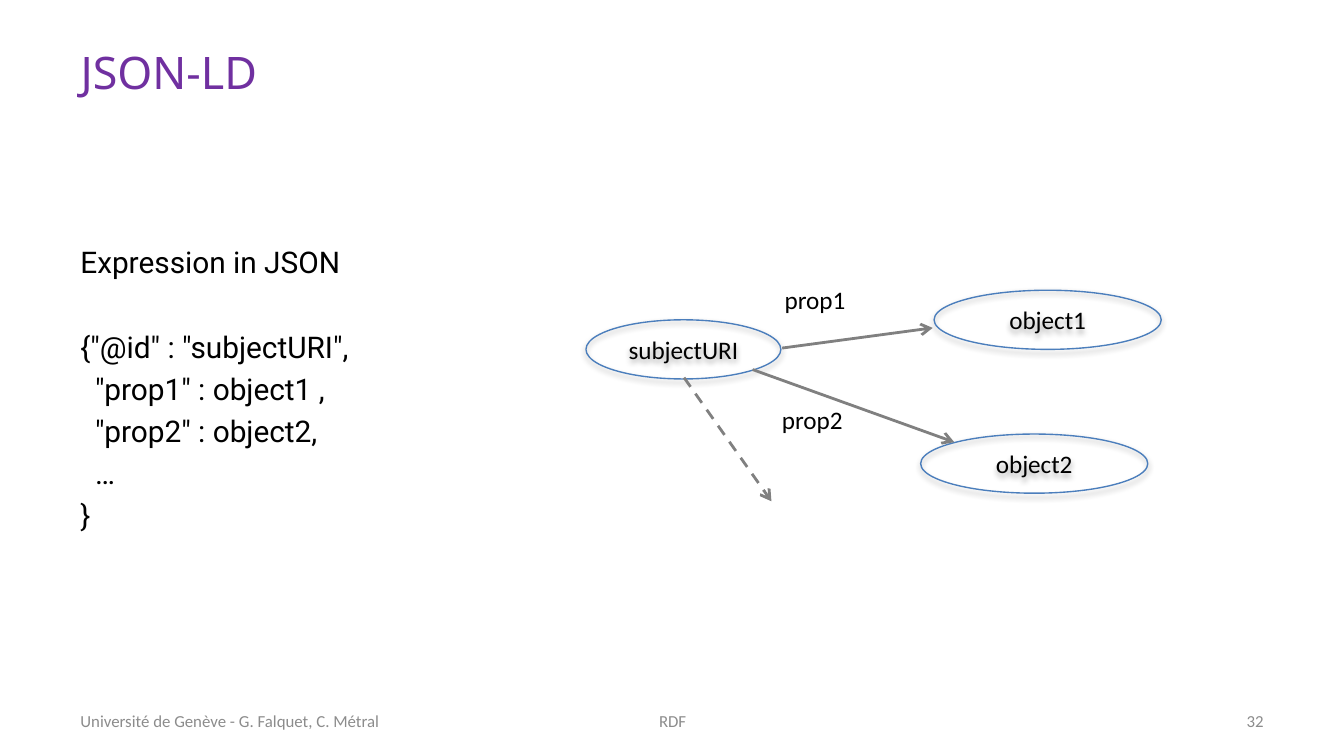
from lxml import etree
from pptx import Presentation, util as u
from pptx.dml.color import RGBColor
from pptx.enum import dml, shapes, text
from pptx.oxml import parse_xml
from pptx.oxml.ns import nsdecls, qn

PURPLE = RGBColor(0x70, 0x30, 0xA0)
BLACK = RGBColor(0, 0, 0)
FOOTER_GRAY = RGBColor(0x8C, 0x8C, 0x8C)
ARROW_GRAY = RGBColor(0x80, 0x80, 0x80)
BLUE = RGBColor(0x4B, 0x7E, 0xBC)
LEFT, CENTER, RIGHT = text.PP_ALIGN.LEFT, text.PP_ALIGN.CENTER, text.PP_ALIGN.RIGHT
MIDDLE, TOP = text.MSO_ANCHOR.MIDDLE, text.MSO_ANCHOR.TOP


def style(para, font, size, color, align=LEFT):
    para.font.name, para.font.size = font, u.Pt(size)
    para.font.color.rgb = color
    para.alignment = align


def add_label(page, box, words, size, color, align=LEFT, anchor=MIDDLE, wrap=True):
    frame = page.shapes.add_textbox(*map(u.Inches, box)).text_frame
    frame.word_wrap = wrap
    frame.vertical_anchor = anchor
    frame.text = words
    style(frame.paragraphs[0], "Calibri", size, color, align)


def add_title(page, box):
    title = page.shapes.title
    title.left, title.top, title.width, title.height = map(u.Inches, box)
    title.text_frame.text = "JSON-LD"
    title.text_frame.vertical_anchor = MIDDLE
    style(title.text_frame.paragraphs[0], "Noto Sans", 24, PURPLE)


def add_code(page, box):
    frame = page.shapes.add_textbox(*map(u.Inches, box)).text_frame
    frame.word_wrap = True
    frame.vertical_anchor = MIDDLE
    frame.margin_bottom = u.Inches(0.31)
    lines = [
        ("Expression in JSON", 3.35, 0),
        ('{"@id" : "subjectURI",', 26, 0),
        ('"prop1" : object1 ,', 3.35, 0.11),
        ('"prop2" : object2,', 3.35, 0.11),
        ("…", 3.35, 0.11),
        ("}", 3.35, 0),
    ]
    for index, (words, gap, indent) in enumerate(lines):
        para = frame.add_paragraph() if index else frame.paragraphs[0]
        para.text = words
        para.space_before = u.Pt(gap)
        style(para, "Roboto", 16, BLACK)
        para._p.get_or_add_pPr().set("marL", str(u.Inches(indent)))


def add_node(page, box, words):
    node = page.shapes.add_shape(shapes.MSO_SHAPE.OVAL, *map(u.Inches, box))
    node.fill.background()
    node.line.color.rgb = BLUE
    node.line.width = u.Pt(0.75)
    node._element.spPr.append(parse_xml(
        f'<a:effectLst {nsdecls("a")}><a:outerShdw blurRad="40000" dist="23000" '
        'dir="5400000" rotWithShape="0"><a:srgbClr val="000000">'
        '<a:alpha val="35000"/></a:srgbClr></a:outerShdw></a:effectLst>'))
    frame = node.text_frame
    frame.word_wrap = True
    frame.vertical_anchor = MIDDLE
    frame.text = words
    style(frame.paragraphs[0], "Calibri", 13.5, BLACK, CENTER)


def add_arrow(page, start, end, dashed=False):
    arrow = page.shapes.add_connector(
        shapes.MSO_CONNECTOR.STRAIGHT, *map(u.Inches, start + end))
    arrow.line.color.rgb = ARROW_GRAY
    arrow.line.width = u.Pt(1.5)
    if dashed:
        arrow.line.dash_style = dml.MSO_LINE.DASH
    etree.SubElement(arrow.line._get_or_add_ln(), qn("a:tailEnd"), type="arrow")
    etree.SubElement(arrow._element.spPr, qn("a:effectLst"))


def add_graph(page, box):
    left, top, width, height = box
    nodes = [
        ("subjectURI", 0, 0.22, 1.45),
        ("object1", 2.59, 0, 1.69),
        ("object2", 2.49, 1.07, 1.69),
    ]
    for words, x, y, node_width in nodes:
        add_node(page, (left + x, top + y, node_width, 0.44), words)
    arrows = [
        ((1.46, 0.43), (2.58, 0.28), False),
        ((1.24, 0.59), (2.74, 1.13), False),
        ((0.73, 0.65), (1.38, height), True),
    ]
    for start, end, dashed in arrows:
        ends = [(left + x, top + y) for x, y in (start, end)]
        add_arrow(page, *ends, dashed)
    for words, x, y in [("prop1", 1.38, -0.09), ("prop2", 1.36, 0.8)]:
        add_label(page, (left + x, top + y, 0.66, 0.33), words, 13.5, BLACK,
                  anchor=TOP, wrap=False)


def add_footer(page, box):
    left, top, width, height = box
    parts = [
        ("Université de Genève - G. Falquet, C. Métral", 0, 2.92, LEFT),
        ("RDF", 2.92, 3.17, CENTER),
        ("32", width - 2.33, 2.33, RIGHT),
    ]
    for words, x, part_width, align in parts:
        add_label(page, (left + x, top, part_width, height), words, 9,
                  FOOTER_GRAY, align)


def main():
    deck = Presentation()
    deck.slide_width = u.Inches(10)
    deck.slide_height = deck.slide_width * 9 // 16
    page = deck.slides.add_slide(deck.slide_layouts[5])
    add_title(page, (0.5, 0.23, 9, 0.6))
    add_code(page, (0.5, 1.02, 3.06, 4))
    add_graph(page, (4.36, 2.16, 4.28, 1.57))
    add_footer(page, (0.5, 5.21, 9, 0.3))
    deck.save("out.pptx")


if __name__ == "__main__":
    main()
